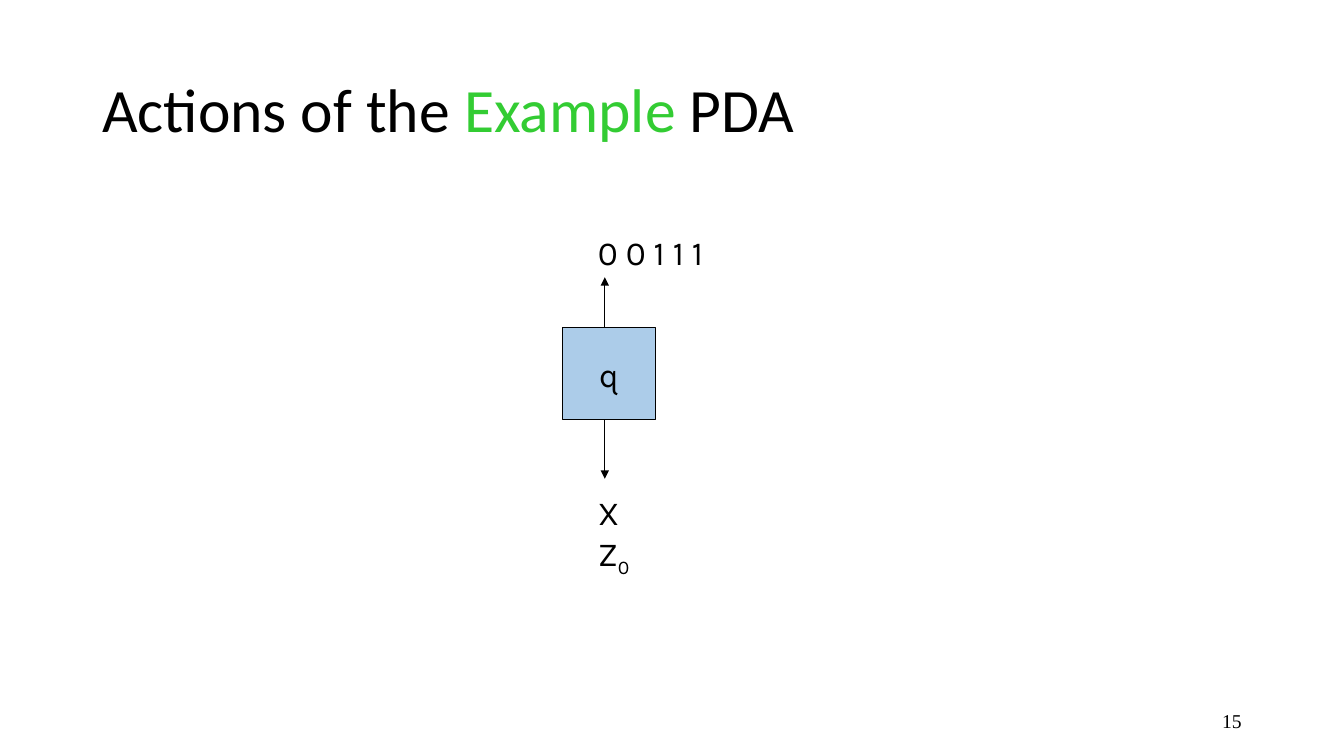
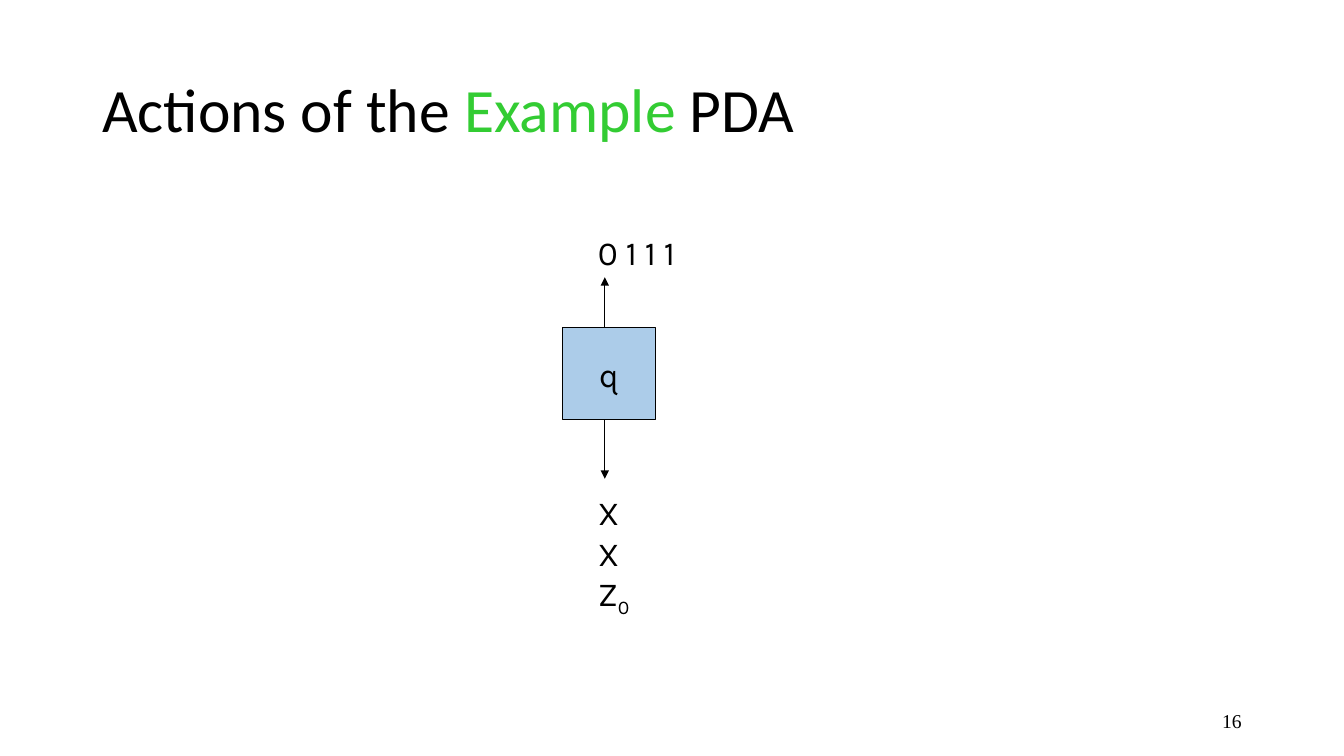
from dataclasses import dataclass

from lxml import etree
from pptx import Presentation
from pptx.dml.color import RGBColor
from pptx.enum.shapes import MSO_CONNECTOR, MSO_SHAPE
from pptx.enum.text import MSO_ANCHOR, PP_ALIGN
from pptx.oxml.ns import qn
from pptx.util import Pt

LEFT, CENTER, RIGHT = PP_ALIGN.LEFT, PP_ALIGN.CENTER, PP_ALIGN.RIGHT
TOP, MIDDLE = MSO_ANCHOR.TOP, MSO_ANCHOR.MIDDLE
RECTANGLE, STRAIGHT = MSO_SHAPE.RECTANGLE, MSO_CONNECTOR.STRAIGHT

EMU_PER_PX = 9525  # 96 px to the inch
SLIDE_SIZE = (1280, 720)
TITLE_BOX = (88, 38, 1104, 139)
NUMBER_BOX = (904, 667, 288, 38)
DIAGRAM_BOX = (536, 216, 184, 384)


@dataclass(frozen=True)
class Theme:
    ink: RGBColor = RGBColor(0x00, 0x00, 0x00)
    accent: RGBColor = RGBColor(0x33, 0xCC, 0x33)
    state_fill: RGBColor = RGBColor(0x5B, 0x9B, 0xD5)
    state_opacity: int = 50
    title_font: str = "Calibri"
    title_size: int = 44
    symbol_font: str = "Karla"
    symbol_size: int = 24
    number_font: str = "Times New Roman"
    number_size: int = 14
    line_width: float = 0.75


THEME = Theme()
TITLE_STYLE = {"name": THEME.title_font, "size": Pt(THEME.title_size)}
SYMBOL_STYLE = {"name": THEME.symbol_font, "size": Pt(THEME.symbol_size)}
NUMBER_STYLE = {"name": THEME.number_font, "size": Pt(THEME.number_size)}

TITLE = [("Actions of the ", THEME.ink), ("Example ", THEME.accent), ("PDA", THEME.ink)]

# Each configuration: slide number, remaining input, stack from top to bottom
CONFIGURATIONS = [
    (15, "0 0 1 1 1", ["X", "Z0"]),
    (16, "0 1 1 1", ["X", "X", "Z0"]),
]


def px(*lengths):
    return [length * EMU_PER_PX for length in lengths]


def set_attributes(target, values):
    for name, value in values.items():
        setattr(target, name, value)


def add_run(paragraph, text, style, color=THEME.ink, subscript=False):
    run = paragraph.add_run()
    run.text = text
    set_attributes(run.font, style)
    run.font.color.rgb = color
    if subscript:
        run._r.get_or_add_rPr().set("baseline", "-25000")


def add_text_box(slide, box, anchor=TOP):
    frame = slide.shapes.add_textbox(*px(*box)).text_frame
    set_attributes(frame, {"word_wrap": True, "vertical_anchor": anchor})
    return frame


def add_title(slide, box):
    paragraph = add_text_box(slide, box, MIDDLE).paragraphs[0]
    set_attributes(paragraph, {"alignment": LEFT, "line_spacing": 0.9})
    for text, color in TITLE:
        add_run(paragraph, text, TITLE_STYLE, color)


def add_slide_number(slide, box, number):
    paragraph = add_text_box(slide, box, MIDDLE).paragraphs[0]
    paragraph.alignment = RIGHT
    add_run(paragraph, str(number), NUMBER_STYLE)


def add_state(slide, box):
    state = slide.shapes.add_shape(RECTANGLE, *px(*box))
    state.shadow.inherit = False
    state.fill.solid()
    state.fill.fore_color.rgb = THEME.state_fill
    color = state.element.spPr.find(qn("a:solidFill")).find(qn("a:srgbClr"))
    etree.SubElement(color, qn("a:alpha"), val=str(THEME.state_opacity * 1000))
    state.line.color.rgb = THEME.ink
    state.line.width = Pt(THEME.line_width)
    set_attributes(state.text_frame, {"word_wrap": False, "vertical_anchor": MIDDLE})
    paragraph = state.text_frame.paragraphs[0]
    paragraph.alignment = CENTER
    add_run(paragraph, "q", SYMBOL_STYLE)


def add_arrow(slide, x, start, end):
    arrow = slide.shapes.add_connector(STRAIGHT, *px(x, start, x, end))
    arrow.line.color.rgb = THEME.ink
    arrow.line.width = Pt(THEME.line_width)
    etree.SubElement(arrow.line._get_or_add_ln(), qn("a:tailEnd"), type="triangle")
    etree.SubElement(arrow.element.spPr, qn("a:effectLst"))


def add_automaton(slide, box, remaining_input, stack):
    left, top, width, height = box
    state_size = 88
    state_top = top + 96
    state_bottom = state_top + state_size
    text_left, text_width = left + 24, width - 24
    stack_top = top + 248
    arrow_x = left + 40

    # State, with its heads on the input and the stack
    add_state(slide, (left, state_top, state_size, state_size))
    add_arrow(slide, arrow_x, state_top, state_top - 48)
    add_arrow(slide, arrow_x, state_bottom, state_bottom + 56)

    # Remaining input
    input_frame = add_text_box(slide, (text_left, top, text_width, 48))
    add_run(input_frame.paragraphs[0], remaining_input, SYMBOL_STYLE)

    # Stack, one symbol a line, with any index lowered
    stack_box = (text_left, stack_top, text_width, top + height - stack_top)
    frame = add_text_box(slide, stack_box)
    for position, symbol in enumerate(stack):
        paragraph = frame.add_paragraph() if position else frame.paragraphs[0]
        add_run(paragraph, symbol[0], SYMBOL_STYLE)
        if symbol[1:]:
            add_run(paragraph, symbol[1:], SYMBOL_STYLE, subscript=True)


def add_configuration_slide(presentation, number, remaining_input, stack):
    slide = presentation.slides.add_slide(presentation.slide_layouts[6])
    add_slide_number(slide, NUMBER_BOX, number)
    add_title(slide, TITLE_BOX)
    add_automaton(slide, DIAGRAM_BOX, remaining_input, stack)


def main():
    presentation = Presentation()
    presentation.slide_width, presentation.slide_height = px(*SLIDE_SIZE)
    for configuration in CONFIGURATIONS:
        add_configuration_slide(presentation, *configuration)
    presentation.save("out.pptx")


if __name__ == "__main__":
    main()
